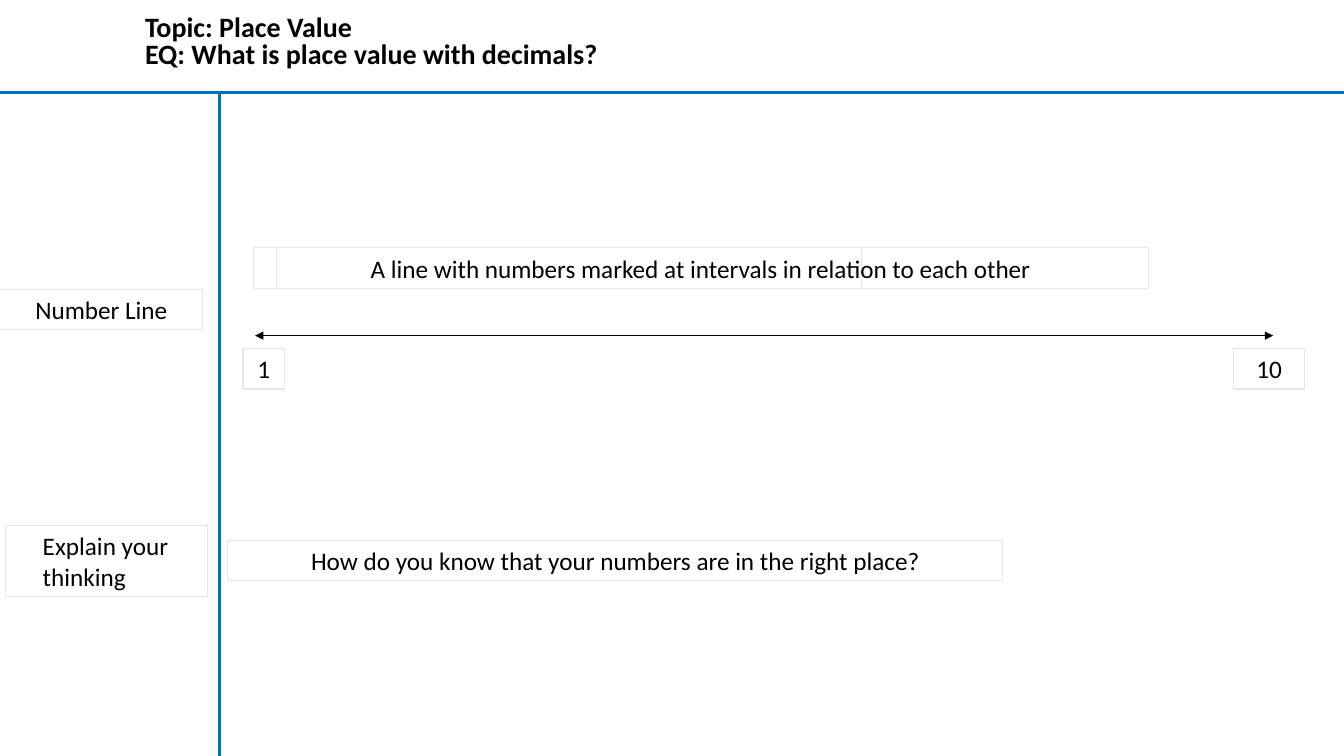
from lxml.etree import SubElement
from pptx import Presentation
from pptx.dml.color import RGBColor
from pptx.enum.shapes import MSO_CONNECTOR as Connector, MSO_SHAPE as Shape
from pptx.enum.text import MSO_ANCHOR as Anchor, PP_ALIGN as Align
from pptx.oxml.ns import qn
from pptx.util import Inches, Pt

WIDTH, HEIGHT = Inches(13.33), Inches(7.5)
BLUE, GREY, BLACK = "0070C0", "E7E6E6", "000000"

# Positions are percentages of the slide's width and height.
DIVIDER_X, HEADER_Y = 16.35, 12.27
DEFINITION_Y, SCALE_Y, SCALE_LABEL_Y = 32.8, 44.4, 46.13
NOTE_WIDTH, ROW_HEIGHT = 15.08, 5.33
BOXES = [
    ("Number Line", 0, 38.27, NOTE_WIDTH),
    ("", 20.55, DEFINITION_Y, 43.58),
    ("1", 18.08, SCALE_LABEL_Y, 3.08),
    ("10", 91.8, SCALE_LABEL_Y, 5.25),
    ("How do you know that your numbers are in the right place?", 16.95, 71.47, 57.68),
    ("A line with numbers marked at intervals in relation to each other",
     18.83, DEFINITION_Y, 66.6),
]


def color(value):
    return RGBColor.from_string(value)


def across(share):
    return round(WIDTH * share / 100)


def down(share):
    return round(HEIGHT * share / 100)


def write(shape, text, anchor, align, **font_format):
    frame = shape.text_frame
    frame.word_wrap = True
    frame.vertical_anchor = anchor
    paragraph = frame.paragraphs[0]
    paragraph.text = text
    paragraph.alignment = align
    paragraph.font.color.rgb = color(BLACK)
    for name, value in {"name": "Calibri", **font_format}.items():
        setattr(paragraph.font, name, value)
    return paragraph


def add_line(slide, start, end, line_color, width, arrows=False):
    line = slide.shapes.add_connector(
        Connector.STRAIGHT, across(start[0]), down(start[1]), across(end[0]), down(end[1]))
    line.line.color.rgb = color(line_color)
    line.line.width = Pt(width)
    properties = line._element.spPr
    if arrows:
        for end_tag in ("a:headEnd", "a:tailEnd"):
            SubElement(properties.find(qn("a:ln")), qn(end_tag), type="triangle")
    SubElement(properties, qn("a:effectLst"))


def add_box(slide, text, left, top, width, height=ROW_HEIGHT, align=Align.CENTER, indent=0.75):
    box = slide.shapes.add_shape(
        Shape.RECTANGLE, across(left), down(top), across(width), down(height))
    box.shadow.inherit = False
    box.fill.background()
    box.line.color.rgb = color(GREY)
    box.line.width = Pt(0.75)
    box.text_frame.margin_left = across(indent)
    if text:
        write(box, text, Anchor.MIDDLE, align, size=Pt(18))


def add_title(slide):
    title = slide.shapes.add_textbox(across(10.05), down(0.8), across(78.75), down(9.07))
    paragraph = write(title, "Topic: Place Value\vEQ: What is place value with decimals?",
                      Anchor.BOTTOM, Align.LEFT, size=Pt(20), bold=True)
    paragraph.line_spacing = 0.8


def main():
    presentation = Presentation()
    presentation.slide_width, presentation.slide_height = WIDTH, HEIGHT
    slide = presentation.slides.add_slide(presentation.slide_layouts[6])
    add_line(slide, (DIVIDER_X, HEADER_Y), (DIVIDER_X, 100), BLUE, 2.25)
    add_line(slide, (0, HEADER_Y), (100, HEADER_Y), BLUE, 2.25)
    add_title(slide)
    add_line(slide, (18.98, SCALE_Y), (94.73, SCALE_Y), BLACK, 0.5, arrows=True)
    for box in BOXES:
        add_box(slide, *box)
    add_box(slide, "Explain your thinking", 0.38, 69.47, NOTE_WIDTH, 9.47, Align.LEFT, indent=2.8)
    presentation.save("out.pptx")


if __name__ == "__main__":
    main()
